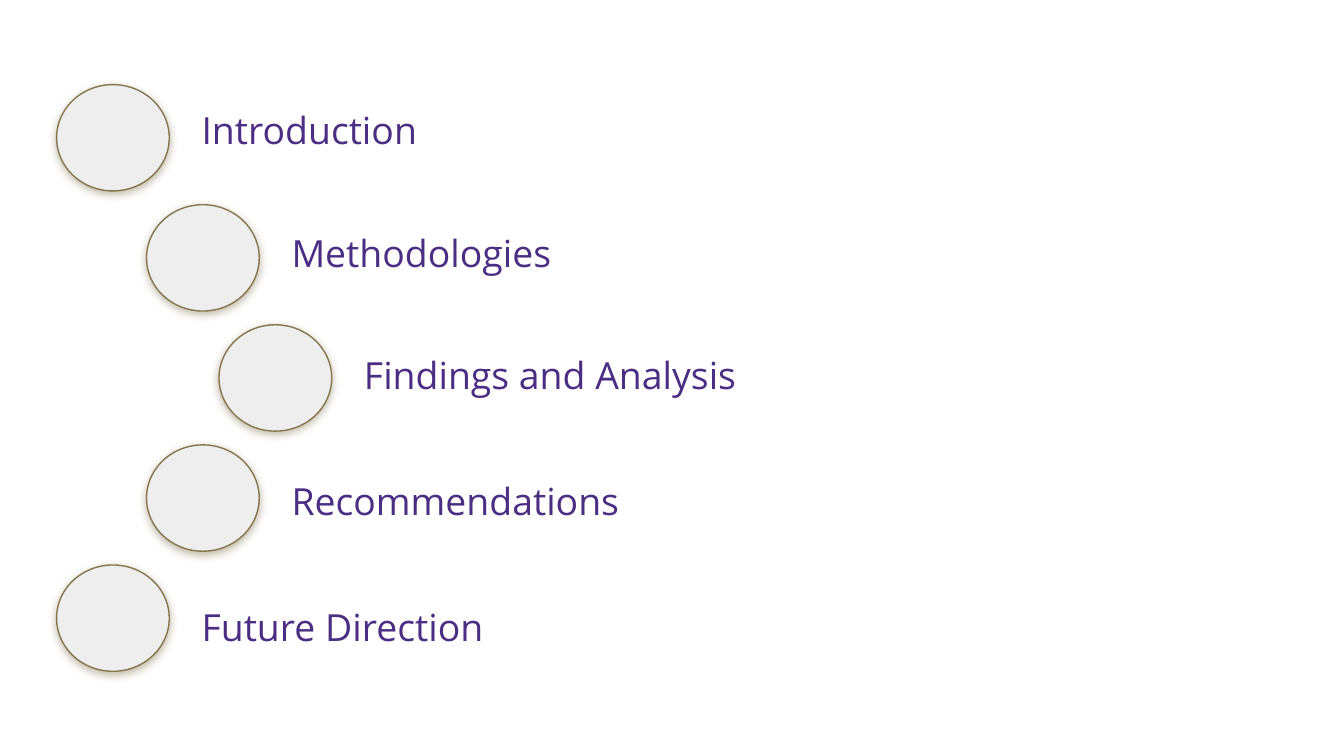
from lxml import etree
from pptx import Presentation
from pptx.dml.color import RGBColor
from pptx.enum.shapes import MSO_SHAPE
from pptx.enum.text import MSO_ANCHOR
from pptx.oxml import parse_xml
from pptx.oxml.ns import nsdecls
from pptx.util import Cm, Pt

OVAL = MSO_SHAPE.OVAL
TOP = MSO_ANCHOR.TOP

PURPLE = RGBColor(0x4B, 0x2E, 0x83)
GOLD = RGBColor(0x85, 0x75, 0x4D)
LIGHT_GREY = RGBColor(0xEE, 0xEE, 0xEE)

CIRCLE_WIDTH, CIRCLE_HEIGHT = 2.13, 2.01
FIRST_TOP, ROW_STEP = 1.6, 2.27

# Agenda: label, circle left, label top, label width (cm)
AGENDA = [
    ("Introduction", 1.07, 1.78, 21.79),
    ("Methodologies", 2.77, 4.11, 14.2),
    ("Findings and Analysis", 4.14, 6.4, 14.2),
    ("Recommendations", 2.77, 8.79, 14.2),
    ("Future Direction", 1.07, 11.18, 14.2),
]


def add_text(slide, text, left, top, width, height, size=20, font="Open Sans", color=PURPLE):
    shape = slide.shapes.add_textbox(Cm(left), Cm(top), Cm(width), Cm(height))
    frame = shape.text_frame
    frame.word_wrap = True
    frame.vertical_anchor = TOP
    frame.margin_left = Cm(0.61)
    frame.margin_right = frame.margin_top = frame.margin_bottom = Cm(0.25)
    run = frame.paragraphs[0].add_run()
    run.text = text
    run.font.size = Pt(size)
    run.font.name = font
    run.font.color.rgb = color


def add_soft_shadow(shape, color, opacity=50, blur=4.5, distance=1.5):
    shape.shadow.inherit = False
    effects = shape._element.spPr.find("{*}effectLst")
    shadow = parse_xml(
        f'<a:outerShdw {nsdecls("a")} blurRad="{Pt(blur)}" dist="{Pt(distance)}" '
        f'dir="5400000" algn="bl" rotWithShape="0"><a:srgbClr val="{color}"/></a:outerShdw>'
    )
    alpha = etree.SubElement(shadow[0], shadow[0].tag.replace("srgbClr", "alpha"))
    alpha.set("val", str(opacity * 1000))
    effects.append(shadow)


presentation = Presentation()
presentation.slide_width = Cm(25.4)
presentation.slide_height = Cm(14.29)
slide = presentation.slides.add_slide(presentation.slide_layouts[6])

# Circles
for row, (label, left, label_top, label_width) in enumerate(AGENDA):
    circle = slide.shapes.add_shape(
        OVAL, Cm(left), Cm(FIRST_TOP + row * ROW_STEP), Cm(CIRCLE_WIDTH), Cm(CIRCLE_HEIGHT)
    )
    circle.fill.solid()
    circle.fill.fore_color.rgb = LIGHT_GREY
    circle.line.color.rgb = GOLD
    circle.line.width = Pt(0.75)
    add_soft_shadow(circle, GOLD)

# Labels, each starting at the right edge of its circle
for label, left, label_top, label_width in AGENDA:
    add_text(slide, label, left + CIRCLE_WIDTH, label_top, label_width, 1.45)

presentation.save("out.pptx")
